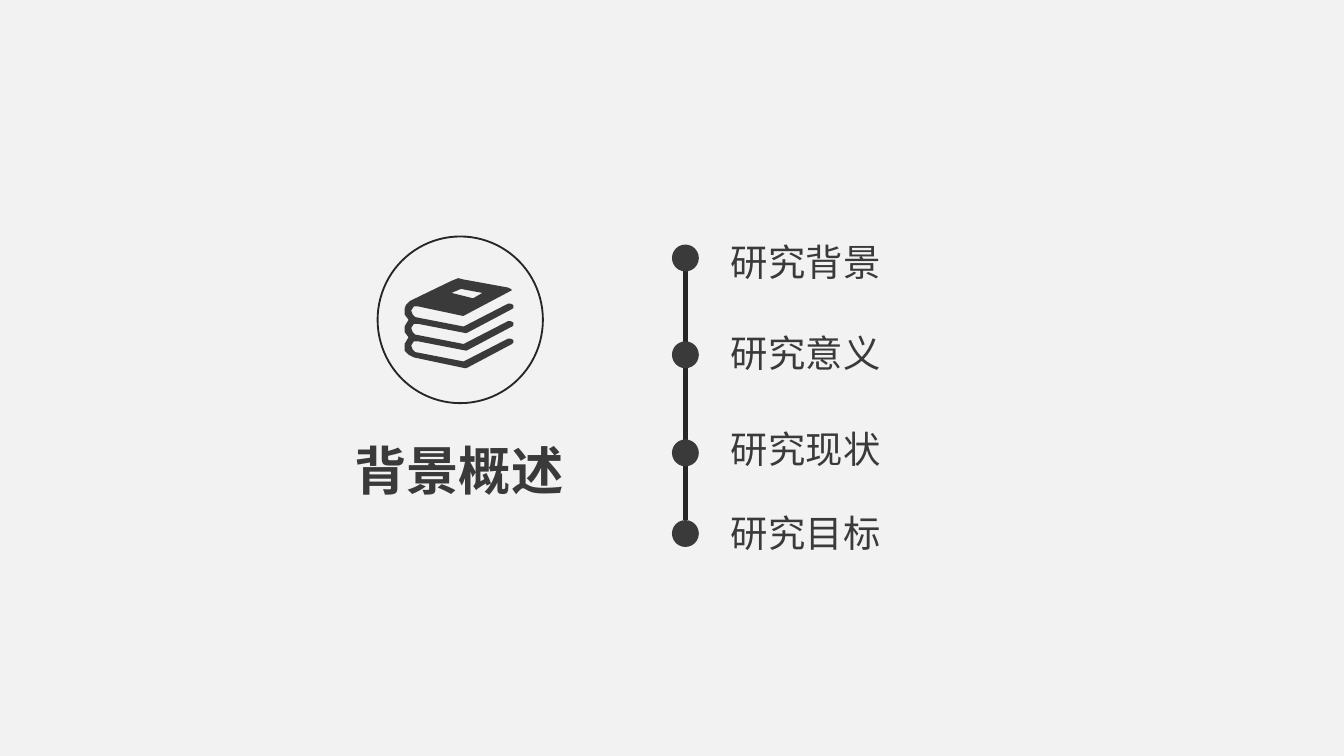
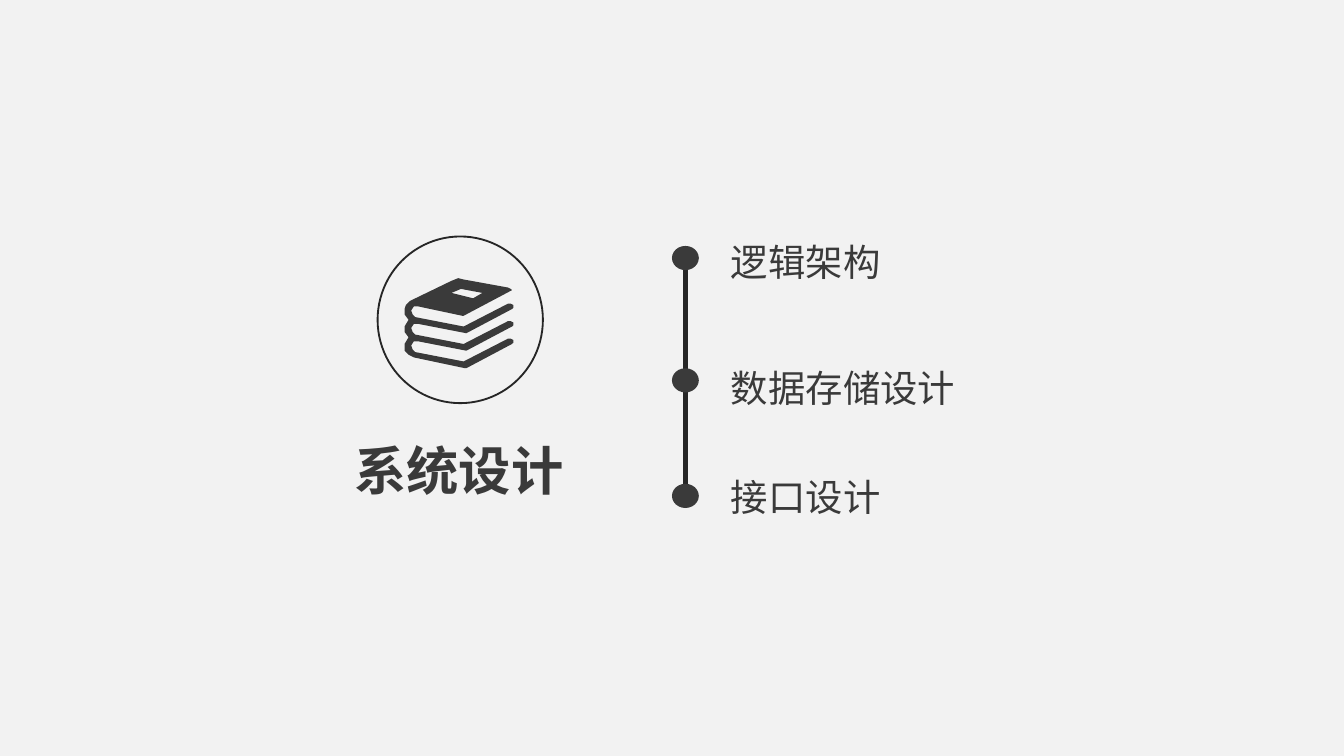
from pptx import Presentation
from pptx import util as u
from pptx.dml.color import RGBColor
from pptx.enum import shapes, text
from pptx.oxml import ns
from lxml import etree

COLORS = {"background": "F2F2F2", "ink": "3A3A3A", "line": "262626"}
TITLE_FORMAT = {"name": "Arial", "size": u.Pt(28), "bold": True}
LABEL_FORMAT = {"name": "Noto Sans CJK SC", "size": u.Pt(20), "bold": False}

PAGE_EDGE = [(347, 248), (381, 230), (382, 229), (382, 227), (380, 226), (378, 226),
             (345, 243), (309, 236), (307, 234), (306, 231), (308, 228), (311, 228)]
COVER = [(344, 235), (345, 235), (379, 217), (381, 216), (380, 215), (378, 214),
         (345, 208), (341, 207), (336, 209), (305, 224), (302, 227), (301, 230),
         (301, 234), (304, 238)]
SPINE = [(301, 243), (301, 247), (304, 251), (301, 256), (301, 261), (304, 264),
         (308, 266), (346, 274)]
COVER_WINDOW = [(343, 215), (359, 218), (352, 222), (336, 218)]
PAGE_STEP = 13
books = [(x, y + page * PAGE_STEP) for page in (2, 1, 0) for x, y in PAGE_EDGE]
books += COVER + SPINE

SECTIONS = [
    {"title": "背景概述", "dot_height": 0.2, "line": (1.84, 3.87),
     "topics": [("研究背景", 1.73, 1.82), ("研究意义", 2.41, 2.54),
                ("研究现状", 3.12, 3.27), ("研究目标", 3.75, 3.87)]},
    {"title": "系统设计", "dot_height": 0.18, "line": (1.85, 3.71),
     "topics": [("逻辑架构", 1.73, 1.83), ("数据存储设计", 2.67, 2.74),
                ("接口设计", 3.48, 3.6)]},
]


def write(shape, words, font_format, alignment, wrap):
    frame = shape.text_frame
    frame.word_wrap = wrap
    frame.auto_size = text.MSO_AUTO_SIZE.SHAPE_TO_FIT_TEXT
    paragraph = frame.paragraphs[0]
    paragraph.alignment = alignment
    run = paragraph.add_run()
    run.text = words
    for attribute, value in font_format.items():
        setattr(run.font, attribute, value)
    run.font.color.rgb = RGBColor.from_string(COLORS["ink"])
    east_asian = etree.SubElement(run._r.get_or_add_rPr(), ns.qn("a:ea"))
    east_asian.set("typeface", font_format["name"])


def fill_ink(shape):
    shape.shadow.inherit = False
    shape.fill.solid()
    shape.fill.fore_color.rgb = RGBColor.from_string(COLORS["ink"])
    shape.line.fill.background()


presentation = Presentation()
presentation.slide_width = u.Inches(10)
presentation.slide_height = u.Inches(10 * 9 / 16)
background = presentation.slide_master.background.fill
background.solid()
background.fore_color.rgb = RGBColor.from_string(COLORS["background"])
title_only = presentation.slide_layouts.get_by_name("Title Only")

for section in SECTIONS:
    slide = presentation.slides.add_slide(title_only)

    title = slide.shapes.title
    title.left, title.top = u.Inches(1.63), u.Inches(3.21)
    title.width, title.height = u.Inches(3.57), u.Inches(0.57)
    write(title, section["title"], TITLE_FORMAT, text.PP_ALIGN.CENTER, True)

    icon = slide.shapes.add_group_shape()
    ring = icon.shapes.add_shape(shapes.MSO_SHAPE.OVAL, u.Inches(2.81), u.Inches(1.76),
                                 u.Inches(1.23), u.Inches(1.24))
    ring.shadow.inherit = False
    ring.fill.background()
    ring.line.color.rgb = RGBColor.from_string(COLORS["line"])
    ring.line.width = u.Pt(1)

    builder = icon.shapes.build_freeform(*books[0], scale=u.Inches(0.01))
    builder.add_line_segments(books[1:], close=True)
    builder.move_to(*COVER_WINDOW[0])
    builder.add_line_segments(COVER_WINDOW[1:], close=True)
    fill_ink(builder.convert_to_shape())

    timeline = slide.shapes.add_group_shape()
    line_top, line_bottom = section["line"]
    connector = timeline.shapes.add_connector(
        shapes.MSO_CONNECTOR.STRAIGHT, u.Inches(5.1), u.Inches(line_top),
        u.Inches(5.1), u.Inches(line_bottom))
    connector.line.color.rgb = RGBColor.from_string(COLORS["line"])
    connector.line.width = u.Pt(3)
    etree.SubElement(connector._element.spPr, ns.qn("a:effectLst"))

    for topic, label_top, dot_top in section["topics"]:
        dot = timeline.shapes.add_shape(
            shapes.MSO_SHAPE.OVAL, u.Inches(5), u.Inches(dot_top),
            u.Inches(0.2), u.Inches(section["dot_height"]))
        fill_ink(dot)
        label_width = 0.2 + 0.28 * len(topic)
        label = slide.shapes.add_textbox(u.Inches(5.34), u.Inches(label_top),
                                         u.Inches(label_width), u.Inches(0.44))
        write(label, topic, LABEL_FORMAT, text.PP_ALIGN.LEFT, False)

presentation.save("out.pptx")
